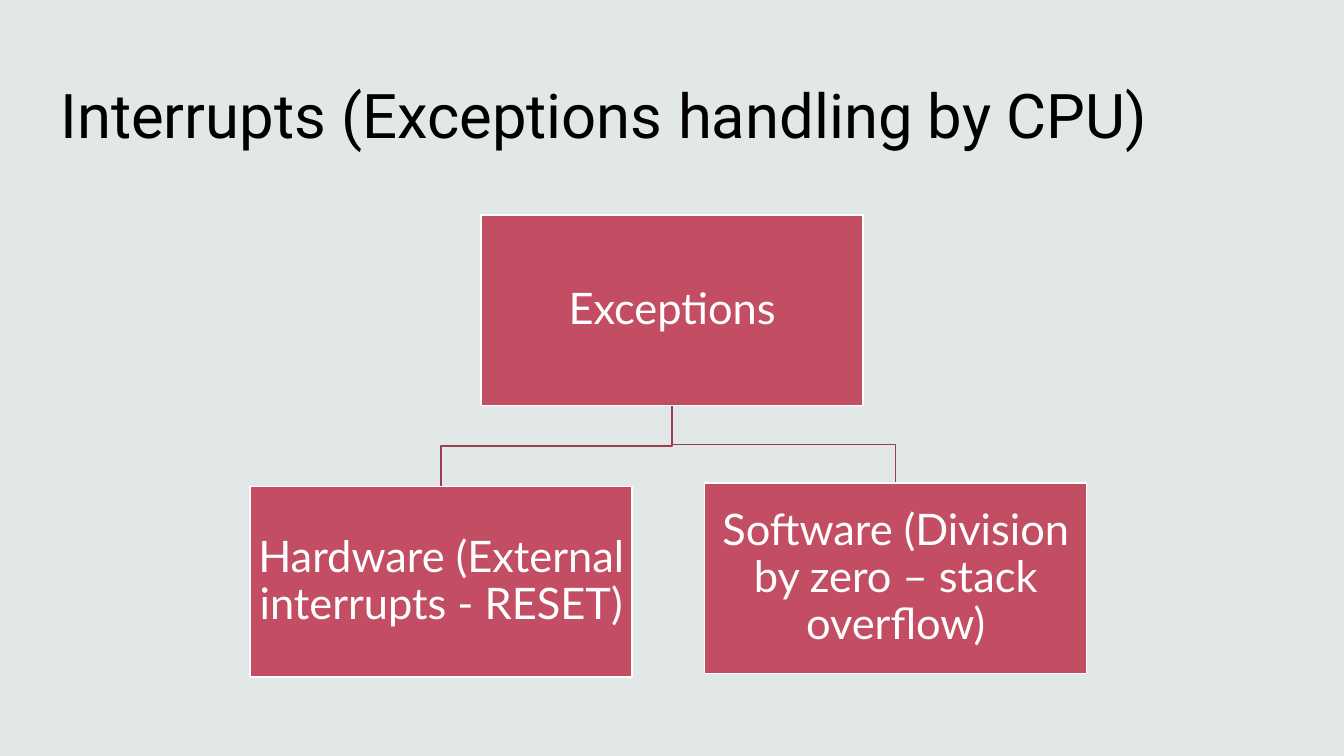
from pptx import Presentation
from pptx.dml.color import RGBColor
from pptx.enum.shapes import MSO_SHAPE as Preset
from pptx.enum.text import MSO_ANCHOR as Anchor, MSO_AUTO_SIZE as AutoSize, PP_ALIGN as Align
from pptx.util import Pt

COLORS = {
    "background": "E2E8E8",
    "title": "000000",
    "box": "C34D63",
    "outline": "FFFFFF",
    "label": "FFFFFF",
    "branch": "9C3E4F",
}
BOX_WIDTH, BOX_HEIGHT = 272.9, 136.2


def color(name):
    return RGBColor.from_string(COLORS[name])


def add_run(paragraph, text, font_name, size, color_name):
    run = paragraph.add_run()
    run.text = text
    run.font.name = font_name
    run.font.size = Pt(size)
    run.font.color.rgb = color(color_name)


def place_title(slide, text, left, top, width, height):
    title = slide.shapes.title
    title.left, title.top, title.width, title.height = map(Pt, (left, top, width, height))
    frame = title.text_frame
    frame.word_wrap = True
    frame.auto_size = AutoSize.NONE
    frame.vertical_anchor = Anchor.MIDDLE
    paragraph = frame.paragraphs[0]
    paragraph.alignment = Align.LEFT
    add_run(paragraph, text, "Roboto", 44, "title")


def add_box(slide, text, left, top):
    box = slide.shapes.add_shape(
        Preset.RECTANGLE, Pt(left), Pt(top), Pt(BOX_WIDTH), Pt(BOX_HEIGHT)
    )
    box.shadow.inherit = False
    box.fill.solid()
    box.fill.fore_color.rgb = color("box")
    box.line.color.rgb = color("outline")
    box.line.width = Pt(1)
    frame = box.text_frame
    frame.word_wrap = True
    frame.vertical_anchor = Anchor.MIDDLE
    frame.margin_left = frame.margin_right = Pt(1.5)
    frame.margin_top = frame.margin_bottom = Pt(1.5)
    paragraph = frame.paragraphs[0]
    paragraph.alignment = Align.CENTER
    paragraph.line_spacing = 0.9
    add_run(paragraph, text, "Lato", 31, "label")


def add_branch(slide, start_x, start_y, end_x, end_y):
    middle_y = (start_y + end_y) / 2
    builder = slide.shapes.build_freeform(Pt(start_x), Pt(start_y))
    corners = [(start_x, middle_y), (end_x, middle_y), (end_x, end_y)]
    builder.add_line_segments([(Pt(x), Pt(y)) for x, y in corners], close=False)
    branch = builder.convert_to_shape()
    branch.shadow.inherit = False
    branch.fill.background()
    branch.line.color.rgb = color("branch")
    branch.line.width = Pt(1)


def add_hierarchy(slide, left, top, root, children):
    root_x, root_y, root_text = root
    center = BOX_WIDTH / 2
    for x, y, _ in children:
        add_branch(
            slide,
            left + root_x + center,
            top + root_y + BOX_HEIGHT,
            left + x + center,
            top + y,
        )
    for x, y, text in [root, *children]:
        add_box(slide, text, left + x, top + y)


def main():
    presentation = Presentation()
    presentation.slide_width, presentation.slide_height = Pt(960), Pt(540)
    slide = presentation.slides.add_slide(presentation.slide_layouts[5])
    slide.background.fill.solid()
    slide.background.fill.fore_color.rgb = color("background")
    place_title(slide, "Interrupts (Exceptions handling by CPU)", 36, 28.8, 858.2, 104.4)
    add_hierarchy(
        slide,
        178.6,
        153.5,
        (165, 0, "Exceptions"),
        [
            (324.7, 191.5, "Software (Division by zero – stack overflow)"),
            (0, 194, "Hardware (External interrupts - RESET)"),
        ],
    )
    presentation.save("out.pptx")


if __name__ == "__main__":
    main()
